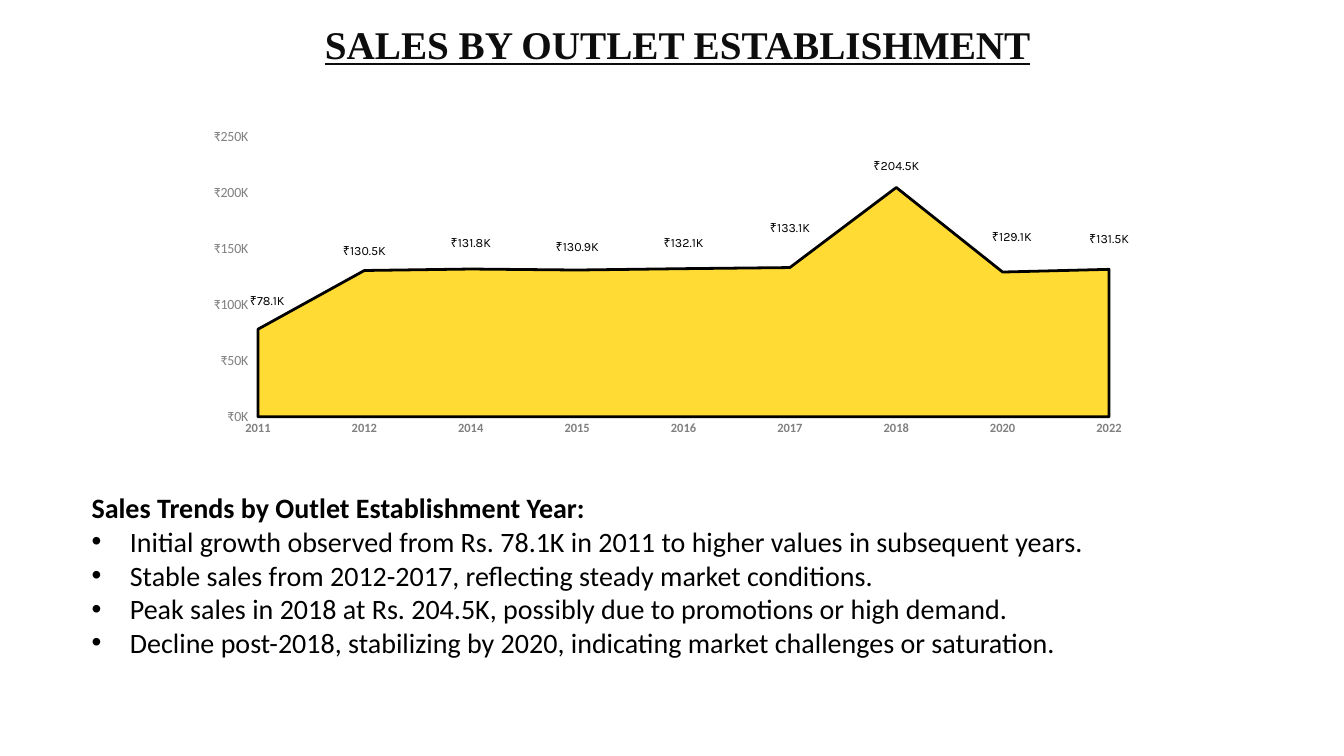
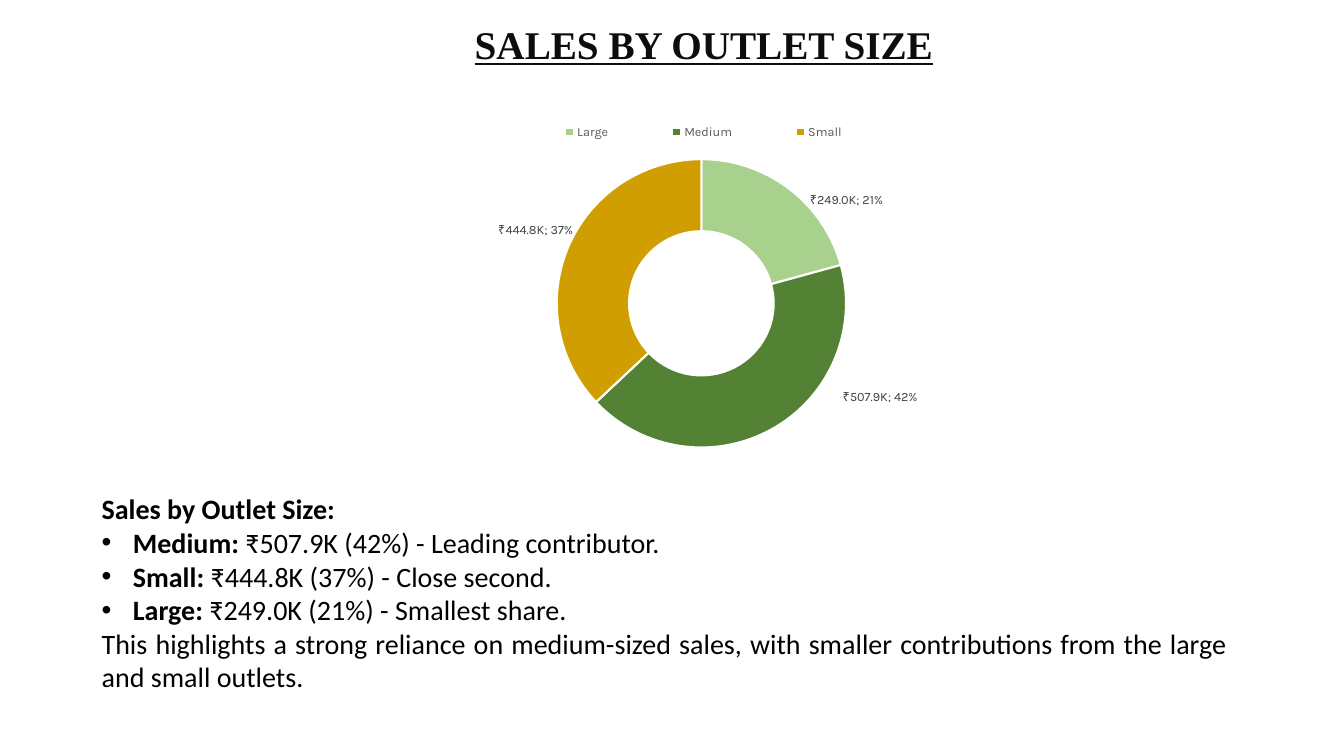
from copy import deepcopy
from dataclasses import dataclass

from lxml import etree
from pptx import Presentation
from pptx.chart.data import CategoryChartData as Data
from pptx.dml.color import RGBColor as RGB
from pptx.enum.chart import XL_CHART_TYPE as Kind
from pptx.enum.chart import XL_LEGEND_POSITION as Place
from pptx.enum.chart import XL_TICK_MARK as Tick
from pptx.enum.text import MSO_ANCHOR as Anchor
from pptx.enum.text import MSO_AUTO_SIZE as Fit
from pptx.enum.text import PP_ALIGN as Align
from pptx.oxml.ns import qn
from pptx.util import Inches, Pt


@dataclass(frozen=True)
class Theme:
    head: str = "Times New Roman"
    body: str = "Calibri"
    label: str = "Karla"
    ink: str = "0D0D0D"
    black: str = "000000"
    white: str = "FFFFFF"
    dark: str = "404040"
    soft: str = "595959"
    grey: str = "808080"
    rule: str = "BFBFBF"
    gold: str = "FFD200"
    sizes: tuple = ("A9D18E", "548235", "D09E00")
    big: int = 28
    text: int = 20
    axis: int = 10
    small: int = 9


T = Theme()
RUPEE = '"₹"0,"K"'
TENTH = '"₹"0.0,"K"'


def style(font, size, color, face, bold=False, under=None):
    font.size, font.name, font.bold = Pt(size), face, bold
    font.color.rgb = RGB.from_string(color)
    if under is not None:
        font.underline = under


def write(para, text, size=T.text, color=T.black, face=T.body,
          bold=False, under=None, align=Align.JUSTIFY):
    para.alignment = align
    run = para.add_run()
    run.text = text
    style(run.font, size, color, face, bold, under)


def bullet(para, indent):
    props = para._p.get_or_add_pPr()
    props.set("marL", str(Inches(indent)))
    props.set("indent", str(-Inches(indent)))
    etree.SubElement(props, qn("a:buFont"), typeface="Arial")
    etree.SubElement(props, qn("a:buChar"), char="•")


def page(deck, title, box):
    slide = deck.slides.add_slide(deck.slide_layouts[5])
    head = slide.shapes.title
    head.left, head.top, head.width, head.height = map(Inches, box)
    frame = head.text_frame
    frame.word_wrap, frame.auto_size = True, Fit.SHAPE_TO_FIT_TEXT
    frame.vertical_anchor = Anchor.TOP
    write(frame.paragraphs[0], title, T.big, T.ink, T.head,
          bold=True, under=True, align=Align.CENTER)
    return slide


def notes(slide, box, head, items, indent, close=None):
    """Bold heading, bulleted (bold lead, text) items and a closing line."""
    frame = slide.shapes.add_textbox(*map(Inches, box)).text_frame
    frame.word_wrap, frame.auto_size = True, Fit.SHAPE_TO_FIT_TEXT
    write(frame.paragraphs[0], head, bold=True)
    for lead, text in items:
        para = frame.add_paragraph()
        bullet(para, indent)
        if lead:
            write(para, lead, bold=True)
        write(para, text)
    if close:
        write(frame.add_paragraph(), close)


def layout(**marks):
    node = etree.Element(qn("c:layout"))
    hand = etree.SubElement(node, qn("c:manualLayout"))
    for name, val in marks.items():
        etree.SubElement(hand, qn("c:" + name), val=str(val))
    return node


def frac(x, y, w, h):
    return dict(xMode="edge", yMode="edge", x=x, y=y, w=w, h=h)


def graph(slide, kind, box, cats, vals, plot):
    data = Data(number_format=TENTH)
    data.categories = cats
    data.add_series("Series 1", vals)
    chart = slide.shapes.add_chart(kind, *map(Inches, box), data).chart
    chart.has_title = chart.has_legend = False
    style(chart.font, T.axis, T.black, T.body)
    area = chart._chartSpace.chart.plotArea
    for old in area.findall(qn("c:layout")):
        area.remove(old)
    area.insert(0, layout(layoutTarget="inner", **frac(*plot)))
    chart.plots[0].vary_by_categories = False
    return chart


def label(series, color, shifts, share=False):
    """Label every point, each moved by its share of the chart size.

    With share, the series formats the value and each point the percentage.
    """
    tags = series.data_labels
    tags.show_value, tags.show_percentage = True, False
    tags.number_format, tags.number_format_is_linked = TENTH, False
    style(tags.font, T.small, color, T.label)
    root = tags._element
    for lead in root.findall(qn("c:showLeaderLines")):
        lead.set("val", "0")
    if share:
        gap = etree.Element(qn("c:separator"))
        gap.text = "; "
        last = root.find(qn("c:showBubbleSize"))
        if last is None:
            last = root.find(qn("c:showPercent"))
        last.addnext(gap)
    parts = [p for p in root if p.tag != qn("c:showLeaderLines")]
    for i, (x, y) in enumerate(shifts):
        tag = etree.Element(qn("c:dLbl"))
        etree.SubElement(tag, qn("c:idx"), val=str(i))
        tag.append(layout(x=x, y=y))
        tag.extend(deepcopy(parts))
        if share:
            tag.find(qn("c:numFmt")).set("formatCode", "0%")
            tag.find(qn("c:showPercent")).set("val", "1")
        root.insert(i, tag)


def trend(slide, box):
    chart = graph(
        slide, Kind.AREA, box,
        ["2011", "2012", "2014", "2015", "2016", "2017", "2018", "2020", "2022"],
        [78100, 130500, 131800, 130900, 132100, 133100, 204500, 129100, 131500],
        (0.037, 0.069, 0.93, 0.786))
    years, sales = chart.category_axis, chart.value_axis
    for axis in (years, sales):
        axis.has_major_gridlines = False
        axis.minor_tick_mark = Tick.NONE
    years.major_tick_mark, sales.major_tick_mark = Tick.NONE, Tick.OUTSIDE
    style(years.tick_labels.font, T.small, T.grey, T.body, bold=True)
    style(sales.tick_labels.font, T.axis, T.grey, T.body)
    years.format.line.color.rgb = RGB.from_string(T.rule)
    years.format.line.width = Pt(0.75)
    sales.format.line.fill.background()
    sales.minimum_scale, sales.maximum_scale = 0, 250000
    sales.major_unit = 50000
    sales.tick_labels.number_format = RUPEE
    sales.tick_labels.number_format_is_linked = False
    series = chart.plots[0].series[0]
    look = series.format
    look.fill.solid()
    look.fill.fore_color.rgb = RGB.from_string(T.gold)
    tint = series._element.find(".//" + qn("a:srgbClr"))
    etree.SubElement(tint, qn("a:alpha"), val="80000")
    look.line.color.rgb = RGB.from_string(T.black)
    look.line.width = Pt(2)
    label(series, T.black, [
        (0.01, -0.2), (0, -0.26), (0, -0.28), (0, -0.27), (0, -0.28),
        (0, -0.32), (0, -0.38), (0.01, -0.3), (0, -0.29)])


def ring(slide, box):
    chart = graph(slide, Kind.DOUGHNUT, box, ["Large", "Medium", "Small"],
                  [249000, 507900, 444800], (0.194, 0.141, 0.605, 0.859))
    chart.has_legend = True
    key = chart.legend
    key.position, key.include_in_layout = Place.TOP, False
    style(key.font, T.small, T.soft, T.label)
    for old in key._element.findall(qn("c:layout")):
        key._element.remove(old)
    key._element.find(qn("c:legendPos")).addnext(
        layout(**frac(0.2, 0.02, 0.6, 0.08)))
    plot = chart.plots[0]
    plot.vary_by_categories = True
    plot._element.find(qn("c:holeSize")).set("val", "80")
    series = plot.series[0]
    for i, color in enumerate(T.sizes):
        look = series.points[i].format
        look.fill.solid()
        look.fill.fore_color.rgb = RGB.from_string(color)
        look.line.color.rgb = RGB.from_string(T.white)
        look.line.width = Pt(1.5)
    label(series, T.dark, [(0.12, -0.05), (0.19, 0), (-0.1, -0.09)], share=True)


def year_page(deck):
    slide = page(deck, "SALES BY OUTLET ESTABLISHMENT", (2.79, 0.15, 7.86, 0.57))
    trend(slide, (2.12, 1.11, 9.18, 3.54))
    lines = [
        "Initial growth observed from Rs. 78.1K in 2011 to higher values in subsequent years.",
        "Stable sales from 2012-2017, reflecting steady market conditions.",
        "Peak sales in 2018 at Rs. 204.5K, possibly due to promotions or high demand.",
        "Decline post-2018, stabilizing by 2020, indicating market challenges or saturation.",
    ]
    notes(slide, (0.81, 4.82, 11.66, 1.78),
          "Sales Trends by Outlet Establishment Year:",
          [("", line) for line in lines], 0.38)


def size_page(deck):
    slide = page(deck, "SALES BY OUTLET SIZE", (3.7, 0.15, 6.56, 0.57))
    ring(slide, (3.7, 1.11, 6.56, 3.34))
    notes(slide, (0.91, 4.83, 11.36, 2.12), "Sales by Outlet Size:", [
        ("Medium:", " ₹507.9K (42%) - Leading contributor."),
        ("Small:", " ₹444.8K (37%) - Close second."),
        ("Large:", " ₹249.0K (21%) - Smallest share."),
    ], 0.31, "This highlights a strong reliance on medium-sized sales, with "
             "smaller contributions from the large and small outlets.")


def main():
    deck = Presentation()
    deck.slide_width, deck.slide_height = Inches(13.33), Inches(7.5)
    year_page(deck)
    size_page(deck)
    deck.save("out.pptx")


if __name__ == "__main__":
    main()
